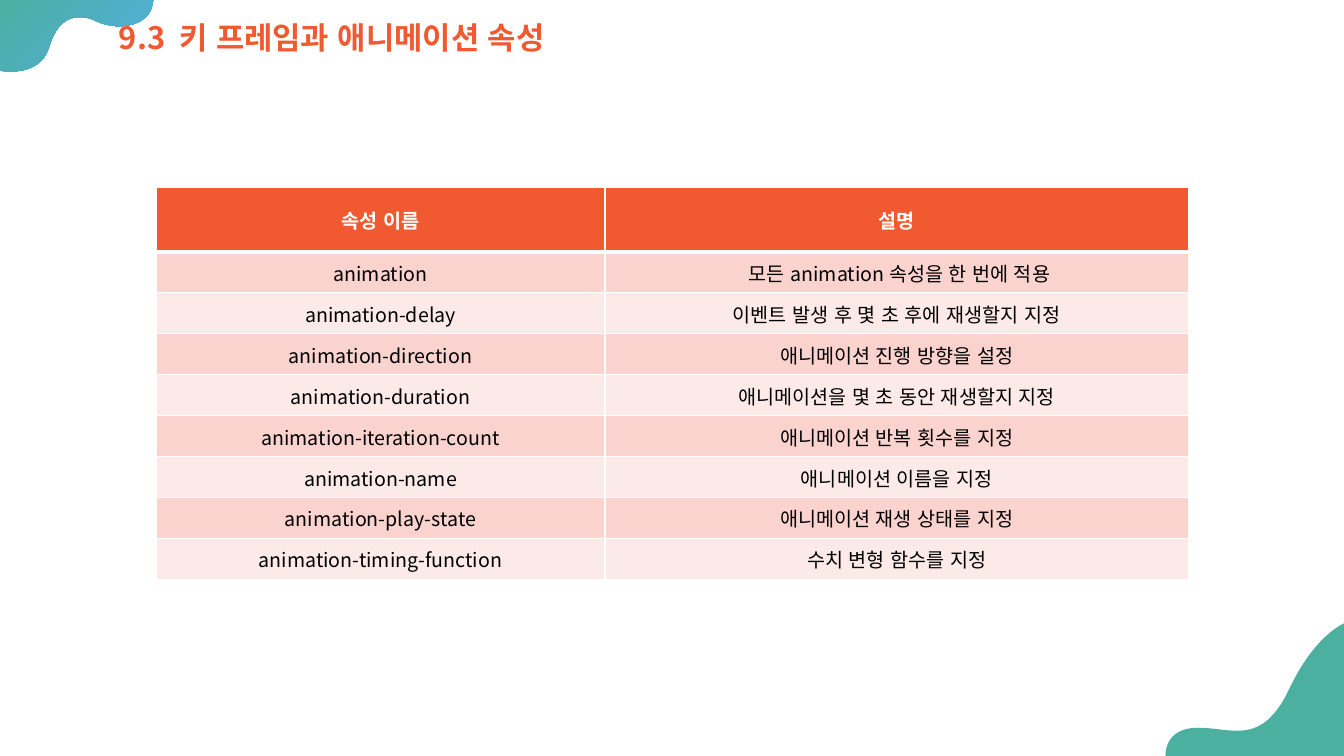
from dataclasses import dataclass

from lxml import etree
from pptx import Presentation
from pptx.dml.color import RGBColor
from pptx.enum.lang import MSO_LANGUAGE_ID
from pptx.enum.text import MSO_ANCHOR, PP_ALIGN
from pptx.oxml.ns import qn
from pptx.util import Inches, Pt

KOREAN = MSO_LANGUAGE_ID.KOREAN
MIDDLE = MSO_ANCHOR.MIDDLE
LEFT, CENTER = PP_ALIGN.LEFT, PP_ALIGN.CENTER
TITLE_ONLY = 5


@dataclass(frozen=True)
class Theme:
    font: str = "Noto Sans CJK KR"
    accent: str = "F15A31"
    white: str = "FFFFFF"
    black: str = "000000"
    bands: tuple = ("FAD2CE", "FCEAE8")
    teal: str = "4BB0A0"
    blue: str = "52AEE1"
    title: int = 22
    body: int = 14
    thin: int = 1
    thick: int = 3


# Each outline: a start point, then line ends (2 numbers) or curves (6 numbers)
TOP_WAVE = [
    (1.52, -0.02), (-0.01, -0.02), (-0.01, 0.7),
    (-0.01, 0.7, 0.04, 0.71, 0.11, 0.71),
    (0.24, 0.71, 0.43, 0.67, 0.49, 0.46),
    (0.56, 0.23, 0.68, 0.17, 0.79, 0.17),
    (0.84, 0.17, 0.89, 0.18, 0.93, 0.2),
    (1.01, 0.24, 1.1, 0.26, 1.18, 0.26),
    (1.37, 0.26, 1.52, 0.17, 1.52, -0.02),
]
LOW_WAVE = [
    (13.34, 6.18),
    (13.34, 6.18, 13.04, 6.29, 12.78, 6.85),
    (12.62, 7.18, 12.45, 7.25, 12.27, 7.25),
    (12.15, 7.25, 12.02, 7.22, 11.88, 7.22),
    (11.54, 7.22, 11.56, 7.5, 11.56, 7.5),
    (13.34, 7.5), (13.34, 6.18),
]
ROWS = [
    ("속성 이름", "설명"),
    ("animation", " 모든 animation 속성을 한 번에 적용"),
    ("animation-delay", "이벤트 발생 후 몇 초 후에 재생할지 지정"),
    ("animation-direction", "애니메이션 진행 방향을 설정"),
    ("animation-duration", "애니메이션을 몇 초 동안 재생할지 지정"),
    ("animation-iteration-count", "애니메이션 반복 횟수를 지정"),
    ("animation-name", "애니메이션 이름을 지정"),
    ("animation-play-state", "애니메이션 재생 상태를 지정"),
    ("animation-timing-function", "수치 변형 함수를 지정"),
]


class Page:
    def __init__(self, deck, theme):
        self.theme = theme
        self.slide = deck.slides.add_slide(deck.slide_layouts[TITLE_ONLY])
        self.shapes = self.slide.shapes

    def style(self, para, size, color, bold, align):
        para.alignment = align
        for run in para.runs:
            font = run.font
            font.name, font.size, font.bold = self.theme.font, Pt(size), bold
            font.language_id = KOREAN
            font.color.rgb = RGBColor.from_string(color)
            # East Asian typeface
            asian = etree.Element(qn("a:ea"), typeface=self.theme.font)
            font._element.find(qn("a:latin")).addnext(asian)

    def wave(self, outline, *colors):
        points = [(Inches(part[i]), Inches(part[i + 1]))
                  for part in outline for i in range(0, len(part), 2)]
        pen = self.shapes.build_freeform(*points[0])
        pen.add_line_segments(points[1:], close=True)
        shape = pen.convert_to_shape()
        self.bend(shape, outline)
        shape.shadow.inherit = False
        shape.line.fill.background()
        if len(colors) == 1:
            shape.fill.solid()
            shape.fill.fore_color.rgb = RGBColor.from_string(colors[0])
        else:
            shape.fill.gradient()
            shape.fill.gradient_angle = 315
            for stop, color in zip(shape.fill.gradient_stops, colors):
                stop.color.rgb = RGBColor.from_string(color)

    def bend(self, shape, outline):
        """Join each three lines of a curve into one Bezier segment."""
        lines = iter(list(shape._element.iter(qn("a:lnTo"))))
        for part in outline[1:]:
            group = [next(lines) for _ in range(len(part) // 2)]
            if len(group) == 3:
                curve = etree.Element(qn("a:cubicBezTo"))
                group[0].addprevious(curve)
                for line in group:
                    curve.append(line[0])
                    line.getparent().remove(line)

    def title(self, text, left, top, width, height):
        box = self.shapes.title
        box.left, box.top = Inches(left), Inches(top)
        box.width, box.height = Inches(width), Inches(height)
        # Bring the title in front of the waves
        self.shapes._spTree.append(box._element)
        frame = box.text_frame
        frame.text = text
        frame.word_wrap = True
        frame.vertical_anchor = MIDDLE
        para = frame.paragraphs[0]
        para.line_spacing, para.space_before = 0.9, Pt(10)
        self.style(para, self.theme.title, self.theme.accent, True, LEFT)

    def borders(self, cell, **widths):
        props = cell._tc.get_or_add_tcPr()
        for place, side in enumerate("LRTB"):
            width = Pt(widths.get(side, self.theme.thin))
            line = etree.Element(qn("a:ln" + side), w=str(width))
            fill = etree.SubElement(line, qn("a:solidFill"))
            etree.SubElement(fill, qn("a:srgbClr"), val=self.theme.white)
            props.insert(place, line)

    def table(self, rows, left, top, widths, heights):
        look = self.theme
        grid = self.shapes.add_table(
            len(rows), len(widths), Inches(left), Inches(top),
            Inches(sum(widths)), Inches(sum(heights))).table
        for column, width in zip(grid.columns, widths):
            column.width = Inches(width)
        for r, (texts, height) in enumerate(zip(rows, heights)):
            grid.rows[r].height = Inches(height)
            head = r == 0
            back = look.accent if head else look.bands[(r - 1) % 2]
            ink = look.white if head else look.black
            for c, text in enumerate(texts):
                cell = grid.cell(r, c)
                cell.text_frame.text = text
                cell.vertical_anchor = MIDDLE
                if not head:
                    cell.margin_left = cell.margin_right = Inches(0.01)
                    cell.margin_top, cell.margin_bottom = Inches(0.01), 0
                cell.fill.solid()
                cell.fill.fore_color.rgb = RGBColor.from_string(back)
                self.borders(cell, T=look.thick if r == 1 else look.thin,
                             B=look.thick if head else look.thin)
                self.style(cell.text_frame.paragraphs[0], look.body, ink,
                           head, CENTER)


def main():
    deck = Presentation()
    deck.slide_width, deck.slide_height = Inches(13.33), Inches(7.5)
    theme = Theme()
    page = Page(deck, theme)

    # Corner waves
    page.wave(TOP_WAVE, theme.teal, theme.blue)
    page.wave(LOW_WAVE, theme.teal)

    # Title and property table
    page.title("9.3  키 프레임과 애니메이션 속성", 1.08, 0.18, 12.25, 0.43)
    high, head, count = 3.89, 0.64, len(ROWS) - 1
    heights = [head] + [(high - head) / count] * count
    page.table(ROWS, 1.55, 1.86, (4.45, 5.79), heights)

    deck.save("out.pptx")


if __name__ == "__main__":
    main()
